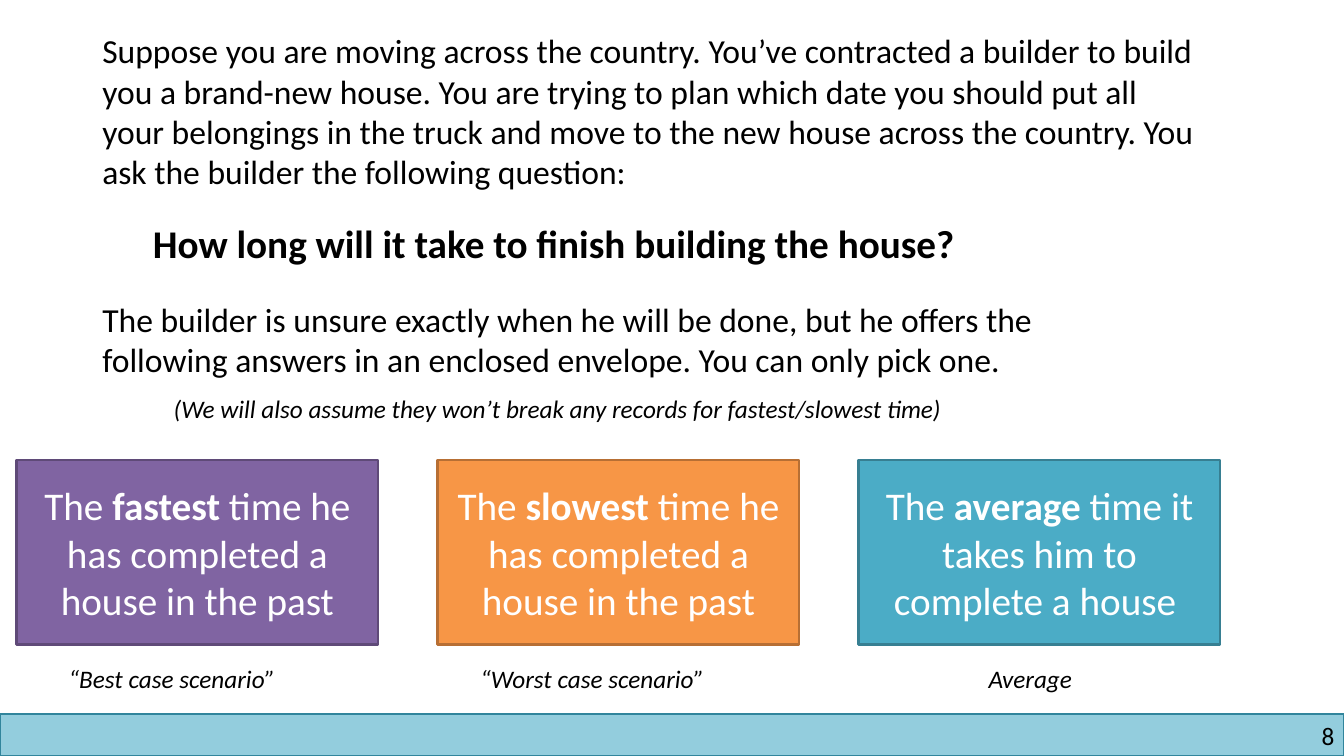
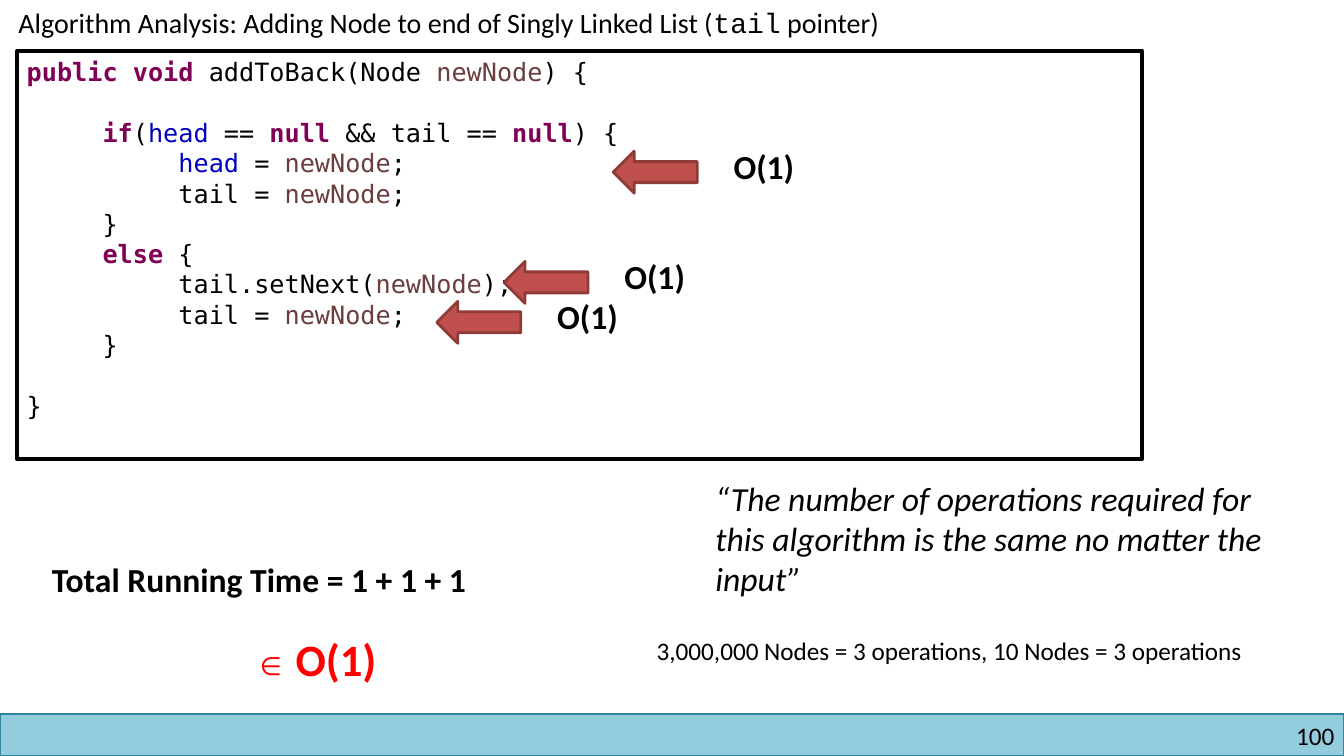
import pptx
import pptx.util
import pptx.dml.color
import pptx.enum.shapes
import pptx.enum.text

KIND = pptx.enum.shapes.MSO_SHAPE
ANCHOR = pptx.enum.text.MSO_ANCHOR
ALIGN = pptx.enum.text.PP_ALIGN
PX = 9525
WIDE, HIGH = 1280, 720
BLACK, WHITE, RED = "000000", "FFFFFF", "FF0000"

PLAIN = {"name": "Calibri", "size": 24, "bold": False, "italic": False, "color": BLACK}
BOLD = PLAIN | {"bold": True}
ITALIC = PLAIN | {"italic": True}
SMALL = PLAIN | {"size": 18}
NOTE = SMALL | {"italic": True}
HEAD = PLAIN | {"size": 20}
ASK = BOLD | {"size": 28}
CARD = PLAIN | {"size": 28, "color": WHITE}
CODE = SMALL | {"name": "DejaVu Sans Mono"}
KEY = CODE | {"bold": True, "color": "7F0055"}
WORDS = dict.fromkeys(["public void", "if", "else", "null"], KEY) | {
    "newNode": CODE | {"color": "6A3E3E"},
    "head": CODE | {"color": "0000C0"},
}

# fmt: off
LINES = [
    "public void| addToBack(Node |newNode|) {",
    "",
    "     if|(|head| == |null| && tail == |null|) {",
    "          head| = |newNode|;",
    "          tail = |newNode|;",
    "     }",
    "     else| {",
    "          tail.setNext(|newNode|);",
    "          tail = |newNode|;",
    "     }",
    "",
    "}",
]
# fmt: on


def hue(code):
    return pptx.dml.color.RGBColor.from_string(code)


def place(shape, box):
    for side, value in zip(("left", "top", "width", "height"), box):
        setattr(shape, side, value * PX)


def style(run, form):
    for key, value in form.items():
        if key == "color":
            run.font.color.rgb = hue(value)
        elif key == "size":
            run.font.size = pptx.util.Pt(value)
        else:
            setattr(run.font, key, value)


def write(para, runs, align=ALIGN.LEFT):
    para.alignment = align
    for text, form in runs:
        run = para.add_run()
        run.text = text
        style(run, form)


def frame(shape, **extra):
    form = {
        "word_wrap": True,
        "auto_size": pptx.enum.text.MSO_AUTO_SIZE.NONE,
        "vertical_anchor": ANCHOR.TOP,
    }
    for key, value in (form | extra).items():
        setattr(shape.text_frame, key, value)
    return shape.text_frame.paragraphs[0]


def label(slide, box, text, form, align=ALIGN.LEFT, **extra):
    shape = slide.shapes.add_textbox(0, 0, 0, 0)
    place(shape, box)
    write(frame(shape, **extra), [(text, form)], align)


def title(slide, box, runs):
    shape = slide.shapes.title
    place(shape, box)
    write(frame(shape), runs)


def block(slide, kind, box, fill, line, width):
    shape = slide.shapes.add_shape(kind, 0, 0, 0, 0)
    place(shape, box)
    shape.shadow.inherit = False
    if fill:
        shape.fill.solid()
        shape.fill.fore_color.rgb = hue(fill)
    else:
        shape.fill.background()
    shape.line.color.rgb = hue(line)
    shape.line.width = pptx.util.Pt(width)
    return shape


def start(deck, page):
    slide = deck.slides.add_slide(deck.slide_layouts.get_by_name("Title Only"))
    block(slide, KIND.RECTANGLE, (0, 680, WIDE, 40), "93CDDD", "31859C", 1)
    sides = ("left", "top", "right", "bottom")
    bare = {f"margin_{side}": 0 for side in sides}
    label(slide, (976, 686, 295, 29), page, SMALL, ALIGN.RIGHT, **bare)
    return slide


def card(slide, box, text, fill, line, note, shift):
    left, top, width, height = box
    shape = block(slide, KIND.RECTANGLE, box, fill, line, 2)
    pre, main, post = text.split("|")
    runs = [(pre, CARD), (main, CARD | {"bold": True}), (post, CARD)]
    write(frame(shape, vertical_anchor=ANCHOR.MIDDLE), runs, ALIGN.CENTER)
    label(slide, (left + shift, top + height + 13, 255, 38), note, NOTE)


def cost(slide, left, top):
    block(slide, KIND.LEFT_ARROW, (left, top, 80, 40), "C0504D", "8E3B39", 2)
    label(slide, (left + 101, top - 10, 85, 48), "O(1)", BOLD, ALIGN.CENTER)


def code(slide, box):
    shape = block(slide, KIND.RECTANGLE, box, None, BLACK, 3)
    para = frame(shape)
    gap = 0
    for count, line in enumerate(LINES):
        if not line:
            gap = 22
            continue
        if count:
            para = shape.text_frame.add_paragraph()
            para.space_before = pptx.util.Pt(gap)
        parts = line.split("|")
        write(para, [(part, WORDS.get(part.strip(), CODE)) for part in parts])
        gap = 0


def house(deck):
    slide = start(deck, "8")
    title(slide, (136, 204, 906, 55),
          [("How long will it take to finish building the house?", ASK)])
    label(slide, (88, 24, 1064, 165),
          "Suppose you are moving across the country. You’ve contracted a builder "
          "to build you a brand-new house. You are trying to plan which date you "
          "should put all your belongings in the truck and move to the new house "
          "across the country. You ask the builder the following question:", PLAIN)
    label(slide, (88, 280, 1014, 87),
          "The builder is unsure exactly when he will be done, but he offers the "
          "following answers in an enclosed envelope. You can only pick one.", PLAIN)
    label(slide, (156, 370, 825, 38),
          "(We will also assume they won’t break any records for fastest/slowest time)",
          NOTE)
    cards = [
        ("The |fastest| time he has completed a house in the past",
         "8064A2", "5F4A78", "“Best case scenario”", 40),
        ("The |slowest| time he has completed a house in the past",
         "F79646", "B76F34", "“Worst case scenario”", 31),
        ("The |average| time it takes him to complete a house ",
         "4BACC6", "377F92", "Average", 114),
    ]
    for count, item in enumerate(cards):
        card(slide, (16 + 401 * count, 438, 344, 176), *item)


def growth(deck):
    slide = start(deck, "100")
    title(slide, (8, 0, 921, 42), [
        ("Algorithm Analysis: Adding Node to end of Singly Linked List (", HEAD),
        ("tail", HEAD | {"name": "Courier New"}),
        (" pointer)", HEAD),
    ])
    code(slide, (16, 49, 1072, 388))
    for spot in ((584, 144), (480, 249), (416, 287)):
        cost(slide, *spot)
    label(slide, (40, 528, 493, 48), "Total Running Time = 1 + 1 + 1", BOLD)
    label(slide, (238, 615, 41, 38), "∈", SMALL | {"name": "Roboto", "color": RED})
    label(slide, (272, 597, 106, 61), "O(1)", BOLD | {"size": 32, "color": RED})
    label(slide, (672, 450, 540, 126),
          "“The number of operations required for this algorithm is the same "
          "no matter the input”", ITALIC)
    label(slide, (616, 600, 643, 38),
          "3,000,000 Nodes = 3 operations, 10 Nodes = 3 operations", SMALL)


def main():
    deck = pptx.Presentation()
    deck.slide_width, deck.slide_height = WIDE * PX, HIGH * PX
    house(deck)
    growth(deck)
    deck.save("out.pptx")


if __name__ == "__main__":
    main()
